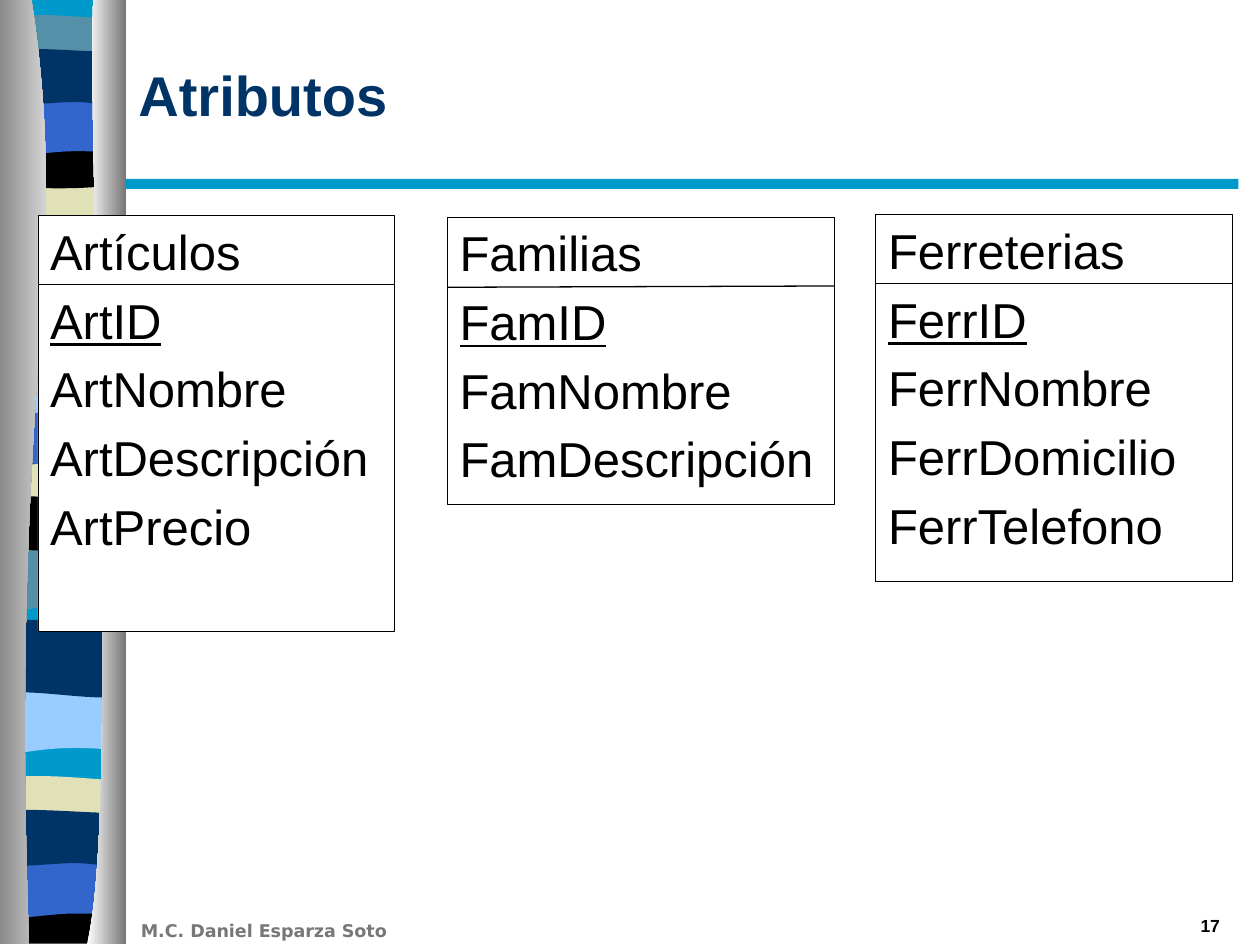
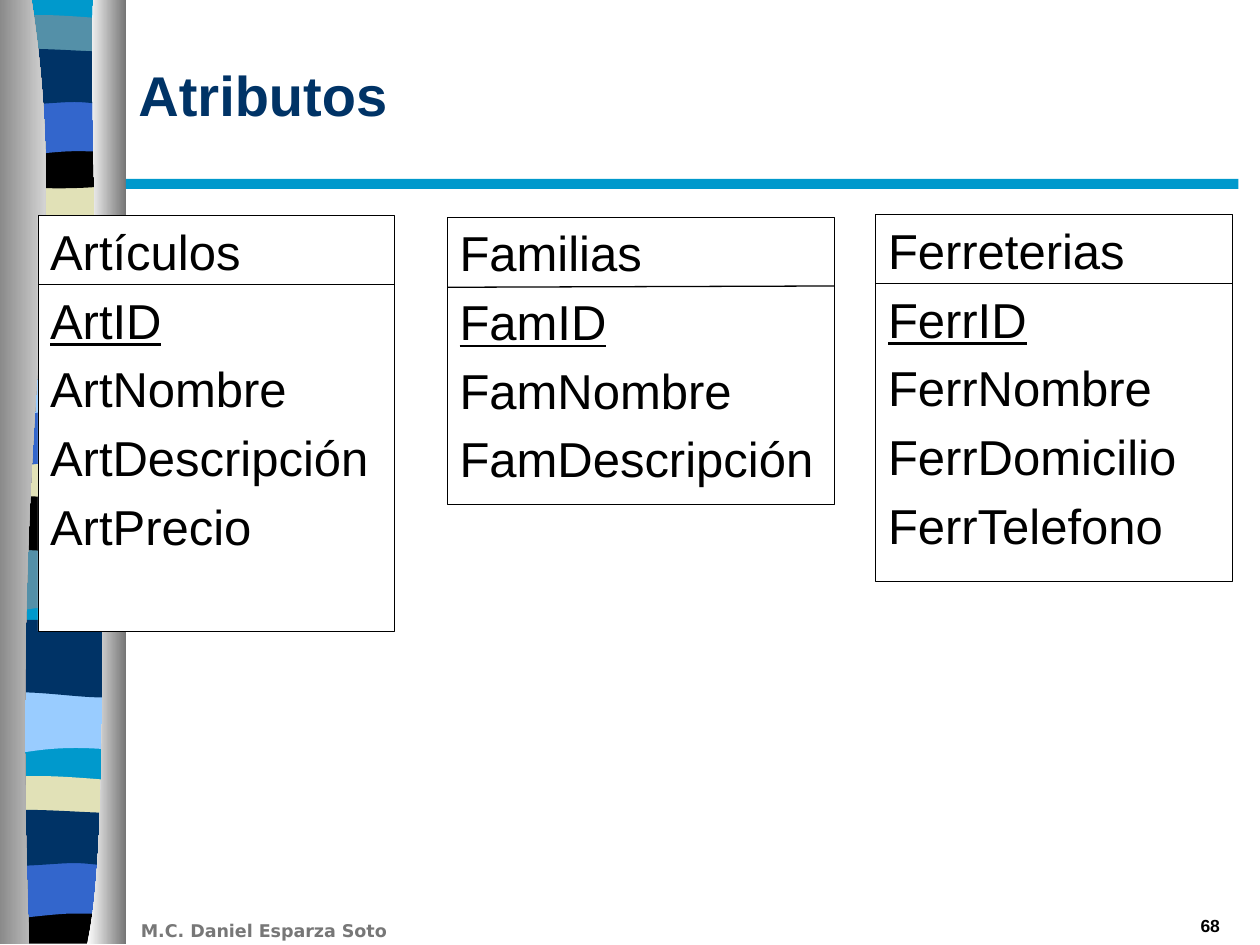
from typing import NamedTuple

import lxml.etree
import pptx
import pptx.dml.color
import pptx.enum.shapes
import pptx.enum.text
import pptx.oxml.ns
import pptx.util

PX = 9144  # one px is a hundredth of an inch

# Shared colours
NAVY, BLUE, SKY, TEAL = "003366", "3366CC", "99CCFF", "5490A8"
CYAN, CREAM, BLACK, WHITE = "0099CC", "E1E1B7", "000000", "FFFFFF"
GREY, STEEL = "777777", "767676"

# Outlines: a pair is a straight step, six numbers are a cubic curve
Steps = list[tuple[int, ...]]
DROP: Steps = [(103, 0), (103, 52), (32, 44, 18, 60, 0, 52), (0, 0)]
ROLL: Steps = [(103, -7), (103, 52), (86, 60, 32, 46, 0, 52), (0, -7)]
HUMP: Steps = [(103, 0), (103, 29), (86, 34, 18, 34, 0, 29), (0, 0),
               (7, -5, 23, -4, 40, -4), (57, -4, 90, -1, 103, 0)]
SAG: Steps = [(103, 0), (103, 37), (86, 43, 18, 43, 0, 37), (0, 0),
              (63, 5, 81, 0, 103, 0)]
BASE: Steps = [(103, 0), (103, 37), (0, 37), (0, 0), (63, 5, 81, 0, 103, 0)]
ARCH: Steps = [(103, 0), (103, 51), (88, 46, 81, 46, 64, 46),
               (47, 46, 16, 51, 0, 51), (0, 0)]
SWELL: Steps = [(103, 0), (103, 40), (97, 45, 81, 40, 64, 40),
                (47, 40, 11, 45, 0, 40), (0, 0),
                (15, -5, 70, 0, 87, 0), (104, 0, 100, 0, 103, 0)]
SHEET: Steps = [(103, 0), (103, 747), (0, 747), (0, 0)]
LEFT: Steps = [(25, 0), (58, 216, 7, 296, 23, 749), (-10, 749), (-10, 0)]
RIGHT: Steps = [(74, 0), (69, 125, 96, 646, 69, 749), (100, 749), (100, 0)]


class Band(NamedTuple):
    top: int
    form: Steps
    fill: str


class Box(NamedTuple):
    left: int
    top: int
    width: int
    height: int


class Style(NamedTuple):
    size: int
    tint: str
    bold: bool = True
    font: str = "Arial"


class Card(NamedTuple):
    box: Box
    rule: tuple[int, int]  # height of the divider at each end
    lines: list[str]
    fill: str | None = WHITE


BANDS = [
    Band(0, SHEET, CYAN),
    Band(185, DROP, TEAL), Band(141, ROLL, CREAM), Band(16, HUMP, TEAL),
    Band(108, SAG, BLACK), Band(74, ARCH, BLUE), Band(41, SWELL, NAVY),
    Band(431, DROP, TEAL), Band(386, ROLL, BLACK), Band(262, HUMP, NAVY),
    Band(353, SAG, CREAM), Band(320, ARCH, BLUE), Band(286, SWELL, SKY),
    Band(544, DROP, SKY), Band(499, ROLL, NAVY), Band(620, HUMP, CREAM),
    Band(712, BASE, BLACK), Band(679, ARCH, BLUE), Band(645, SWELL, NAVY),
]

CARDS = [
    Card(Box(30, 171, 283, 330), (226, 226),
         ["Artículos", "ArtID", "ArtNombre", "ArtDescripción", "ArtPrecio"]),
    Card(Box(355, 172, 307, 228), (228, 227),
         ["Familias", "FamID", "FamNombre", "FamDescripción"], None),
    Card(Box(695, 170, 283, 291), (225, 225),
         ["Ferreterias", "FerrID", "FerrNombre", "FerrDomicilio",
          "FerrTelefono"]),
]

HEAD = Style(32, NAVY)
FOOT = Style(10, GREY, font="DejaVu Sans")
PAGE = Style(10, BLACK)
BODY = Style(28, BLACK, bold=False)


def emu(px: int) -> pptx.util.Emu:
    return pptx.util.Emu(px * PX)


def rgb(code: str) -> pptx.dml.color.RGBColor:
    return pptx.dml.color.RGBColor.from_string(code)


def paint(shape, fill: str | None) -> None:
    shape.shadow.inherit = False
    shape.line.fill.background()
    if fill is None:
        shape.fill.background()
    else:
        shape.fill.solid()
        shape.fill.fore_color.rgb = rgb(fill)


def bend(shape, steps: Steps) -> None:
    """Join each three straight steps that stand for a curve."""
    name = pptx.oxml.ns.qn
    lines = shape._element.iter(name("a:lnTo"))
    queue = iter(list(lines))
    for step in steps[1:]:
        first = next(queue)
        if len(step) == 6:
            first.tag = name("a:cubicBezTo")
            for _ in range(2):
                spare = next(queue)
                first.append(spare[0])
                spare.getparent().remove(spare)


def draw(shapes, steps: Steps, left: int, top: int, fill: str):
    points = [(emu(left + step[i]), emu(top + step[i + 1]))
              for step in steps for i in range(0, len(step), 2)]
    maker = shapes.build_freeform(*points[0], scale=1.0)
    maker.add_line_segments(points[1:], close=True)
    shape = maker.convert_to_shape()
    bend(shape, steps)
    paint(shape, fill)
    return shape


def shade(shape, *tints: str) -> None:
    shape.fill.gradient()
    shape.fill.gradient_angle = 0
    for stop, tint in zip(shape.fill.gradient_stops, tints):
        stop.color.rgb = rgb(tint)


def block(shapes, box: Box, fill: str | None):
    kind = pptx.enum.shapes.MSO_SHAPE.RECTANGLE
    shape = shapes.add_shape(kind, *map(emu, box))
    paint(shape, fill)
    return shape


def write(shape, lines: list[str], style: Style, align: str = "LEFT",
          anchor: str = "TOP", gap: float = 0) -> None:
    frame = shape.text_frame
    frame.word_wrap = True
    frame.vertical_anchor = pptx.enum.text.MSO_ANCHOR[anchor]
    frame.text = "\n".join(lines)
    for i, para in enumerate(frame.paragraphs):
        para.alignment = pptx.enum.text.PP_ALIGN[align]
        if i:
            para.space_before = pptx.util.Pt(gap)
        for run in para.runs:
            run.font.name = style.font
            run.font.size = pptx.util.Pt(style.size)
            run.font.bold = style.bold
            run.font.color.rgb = rgb(style.tint)


def label(shapes, box: Box, text: str, style: Style, align: str = "LEFT",
          anchor: str = "TOP") -> None:
    shape = shapes.add_textbox(*map(emu, box))
    write(shape, [text], style, align, anchor)


def frame_up(shapes, title: str, page: int) -> None:
    # Striped column between two shaded pillars
    column = shapes.add_group_shape().shapes
    for band in BANDS:
        draw(column, band.form, -5, band.top, band.fill)
    shade(draw(column, LEFT, 0, 0, STEEL), STEEL, WHITE)
    shade(draw(column, RIGHT, 0, 0, STEEL), WHITE, STEEL)
    # Title, rule and footer
    block(shapes, Box(100, 142, 883, 8), CYAN)
    label(shapes, Box(102, 725, 283, 27), "M.C. Daniel Esparza Soto", FOOT)
    label(shapes, Box(100, 12, 878, 125), title, HEAD, anchor="MIDDLE")
    label(shapes, Box(770, 721, 208, 26), str(page), PAGE, align="RIGHT")


def table_card(shapes, card: Card) -> None:
    group = shapes.add_group_shape().shapes
    box = card.box
    shape = block(group, box, card.fill)
    shape.line.color.rgb = rgb(BLACK)
    shape.line.width = pptx.util.Pt(0.25)
    write(shape, card.lines, BODY, gap=5.6)
    # The key is underlined
    shape.text_frame.paragraphs[1].runs[0].font.underline = True
    # Divider below the name
    start, end = card.rule
    kind = pptx.enum.shapes.MSO_CONNECTOR.STRAIGHT
    ends = (box.left, start, box.left + box.width, end)
    line = group.add_connector(kind, *map(emu, ends))
    line.line.color.rgb = rgb(BLACK)
    line.line.width = pptx.util.Pt(0.75)
    props = line._element.spPr
    lxml.etree.SubElement(props, pptx.oxml.ns.qn("a:effectLst"))


def main() -> None:
    deck = pptx.Presentation()
    deck.slide_width, deck.slide_height = emu(1000), emu(750)
    for page in (17, 68):
        slide = deck.slides.add_slide(deck.slide_layouts[6])
        frame_up(slide.shapes, "Atributos", page)
        for card in CARDS:
            table_card(slide.shapes, card)
    deck.save("out.pptx")


if __name__ == "__main__":
    main()
